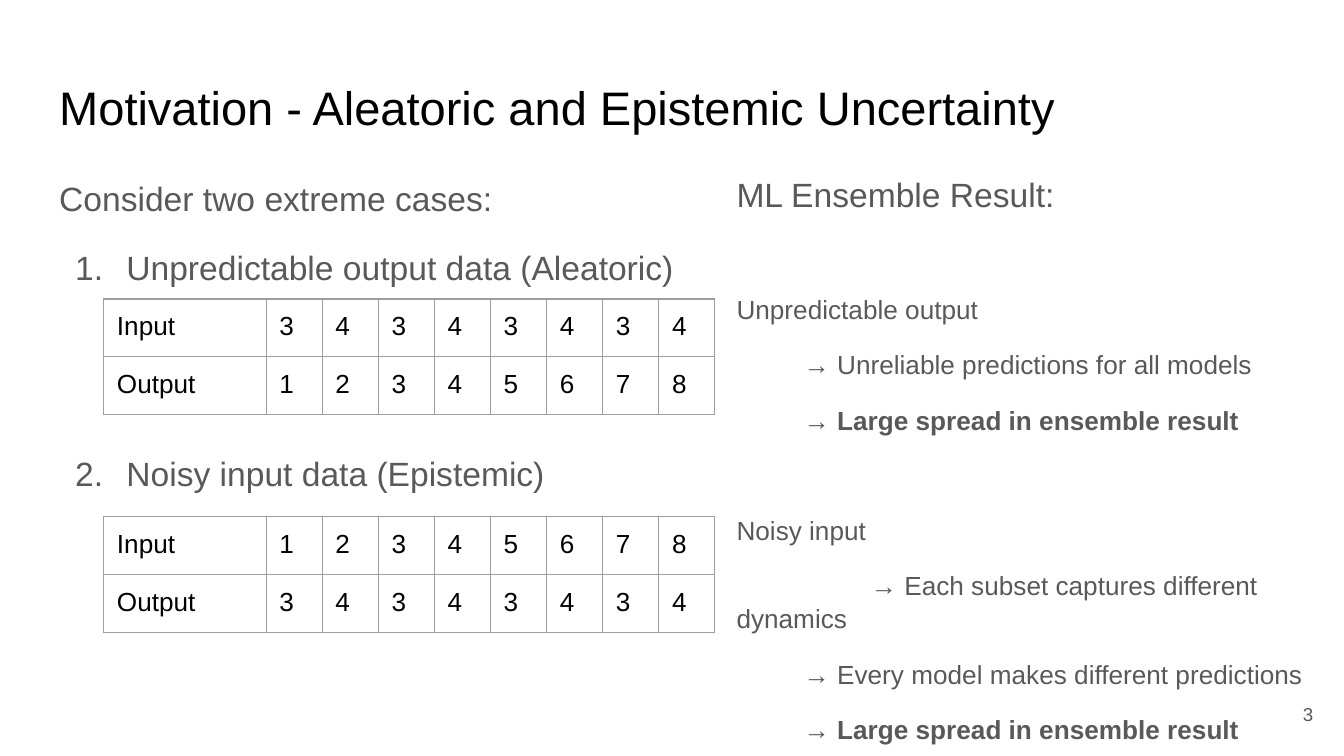
from dataclasses import dataclass

from lxml.etree import SubElement
from pptx import Presentation
from pptx.dml.color import RGBColor
from pptx.enum.text import MSO_ANCHOR, PP_ALIGN
from pptx.oxml.ns import qn
from pptx.util import Cm, Pt

BLACK = RGBColor(0x00, 0x00, 0x00)
GRAY = RGBColor(0x59, 0x59, 0x59)
BORDER = RGBColor(0x9E, 0x9E, 0x9E)
FONT = "Arial"
INSET = Cm(0.25)
LABEL_WIDTH = Cm(3.07)
CELL = Cm(1.06)


@dataclass
class Line:
    text: str
    size: float = 14
    color: RGBColor = GRAY
    bold_text: str = ""
    before: float = 0
    after: float = 0
    margin: float = 0
    indent: float = 0
    numbered: bool = False
    align: PP_ALIGN = PP_ALIGN.LEFT


@dataclass
class Box:
    left: float
    top: float
    width: float
    height: float
    lines: list[Line]
    spacing: float = 1.0
    anchor: MSO_ANCHOR = MSO_ANCHOR.TOP


@dataclass
class DataTable:
    top: float
    inputs: list[int]
    outputs: list[int]


def add_line(p, line: Line, spacing: float) -> None:
    p.alignment = line.align
    p.line_spacing = spacing
    p.space_before = Pt(line.before)
    p.space_after = Pt(line.after)
    p.font.name = FONT
    p.font.size = Pt(line.size)
    p.font.color.rgb = line.color
    pPr = p._p.get_or_add_pPr()
    pPr.set("marL", str(Cm(line.margin)))
    pPr.set("indent", str(Cm(line.indent)))
    if line.numbered:
        number = pPr.makeelement(qn("a:buAutoNum"), {"type": "arabicPeriod"})
        pPr.find(qn("a:defRPr")).addprevious(number)
    p.add_run().text = line.text
    if line.bold_text:
        r = p.add_run()
        r.text = line.bold_text
        r.font.bold = True


def add_box(s, box: Box) -> None:
    sp = s.shapes.add_textbox(Cm(box.left), Cm(box.top), Cm(box.width), Cm(box.height))
    tf = sp.text_frame
    tf.word_wrap = True
    tf.vertical_anchor = box.anchor
    tf.margin_left = tf.margin_right = tf.margin_top = tf.margin_bottom = INSET
    for i, line in enumerate(box.lines):
        p = tf.add_paragraph() if i else tf.paragraphs[0]
        add_line(p, line, box.spacing)


def set_borders(cell) -> None:
    tcPr = cell._tc.get_or_add_tcPr()
    for i, side in enumerate(("lnL", "lnR", "lnT", "lnB")):
        ln = tcPr.makeelement(qn(f"a:{side}"), {"w": str(Pt(0.75))})
        fill = SubElement(ln, qn("a:solidFill"))
        SubElement(fill, qn("a:srgbClr"), val=str(BORDER))
        tcPr.insert(i, ln)


def add_data_table(s, data: DataTable) -> None:
    rows = [["Input", *data.inputs], ["Output", *data.outputs]]
    count = len(data.inputs)
    table = s.shapes.add_table(
        2, count + 1, Cm(1.96), Cm(data.top), LABEL_WIDTH + count * CELL, 2 * CELL
    ).table
    table.first_row = table.horz_banding = False
    for i, column in enumerate(table.columns):
        column.width = CELL if i else LABEL_WIDTH
    for row, values in zip(table.rows, rows):
        row.height = CELL
        for cell, value in zip(row.cells, values):
            cell.fill.background()
            cell.margin_left = cell.margin_right = INSET
            cell.margin_top = cell.margin_bottom = INSET
            add_line(cell.text_frame.paragraphs[0], Line(str(value), color=BLACK), 1.0)
            set_borders(cell)


def case_title(text: str, before: float) -> Line:
    return Line(text, 18, before=before, margin=1.27, indent=-0.97, numbered=True)


def result(text: str, bold_text: str = "", indent: float = 1.27, after: float = 0) -> Line:
    return Line(f"→ {text}", bold_text=bold_text, before=12, after=after, indent=indent)


SPREAD = "Large spread in ensemble result"
CYCLE = [3, 4] * 4
COUNT = list(range(1, 9))

BOXES = [
    Box(0.87, 1.24, 23.67, 1.6, [
        Line("Motivation - Aleatoric and Epistemic Uncertainty", 25.2, BLACK),
    ]),
    Box(0.87, 3.0, 14.94, 11.18, [
        Line("Consider two extreme cases:", 18),
        case_title("Unpredictable output data (Aleatoric)", 12),
        case_title("Noisy input data (Epistemic)", 85.7),
    ], 1.15),
    Box(23.55, 12.95, 1.52, 1.09, [
        Line("3", 10, align=PP_ALIGN.RIGHT),
    ], anchor=MSO_ANCHOR.MIDDLE),
    Box(13.67, 3.0, 11.4, 11.18, [
        Line("ML Ensemble Result:", 18),
        Line("Unpredictable output", before=41.6),
        result("Unreliable predictions for all models"),
        result("", SPREAD),
        Line("Noisy input", before=41.6),
        result("Each subset captures different dynamics", indent=2.54),
        result("Every model makes different predictions"),
        result("", SPREAD, after=12),
    ], 1.05),
]

TABLES = [DataTable(5.65, CYCLE, COUNT), DataTable(9.77, COUNT, CYCLE)]


def main() -> None:
    prs = Presentation()
    prs.slide_width = Cm(25.4)
    prs.slide_height = Cm(14.29)
    s = prs.slides.add_slide(prs.slide_layouts[6])
    for box in BOXES:
        add_box(s, box)
    for data in TABLES:
        add_data_table(s, data)
    prs.save("out.pptx")


if __name__ == "__main__":
    main()
